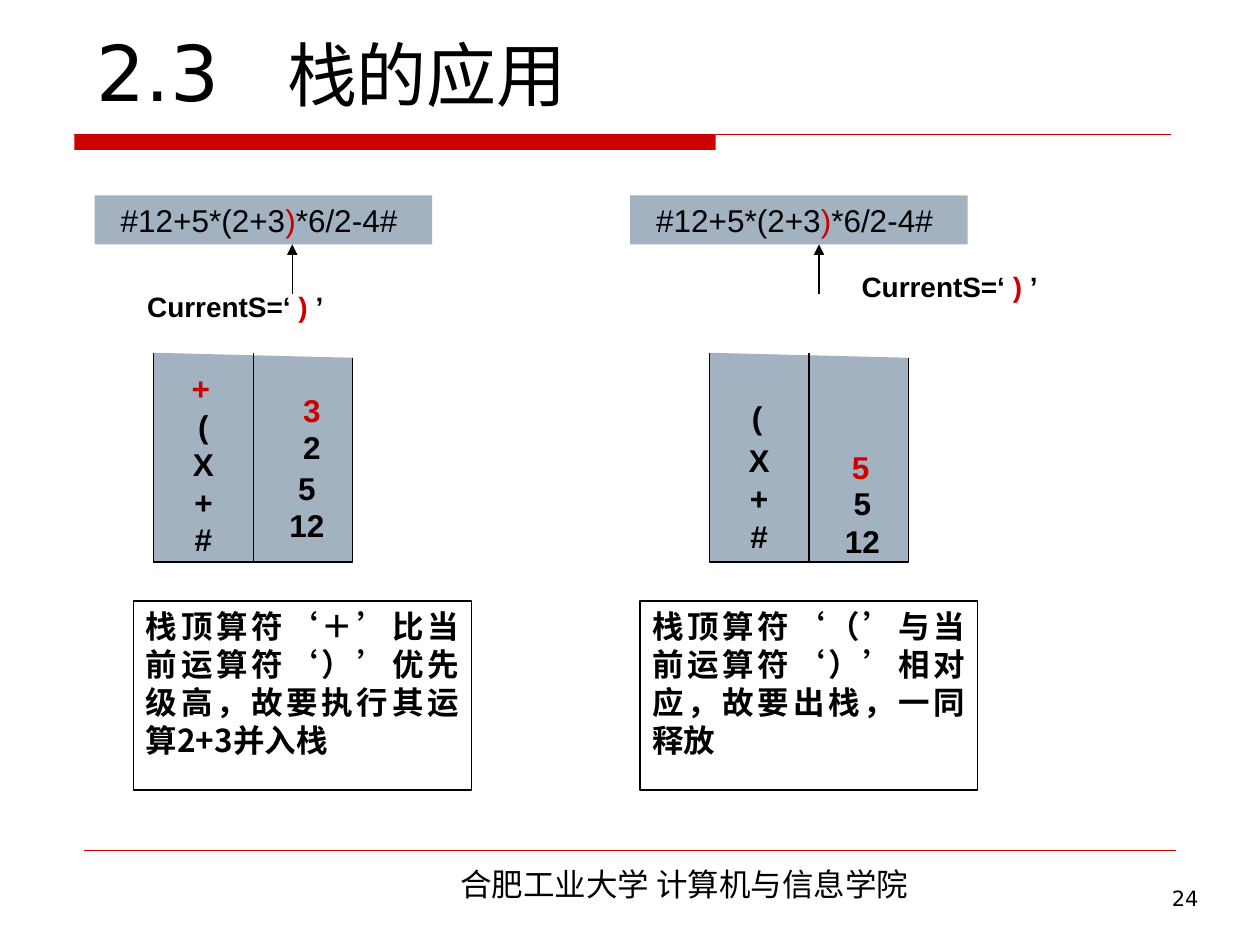
"""Build the slide on evaluating an expression with an operator stack and an operand stack."""
from itertools import groupby

from lxml.etree import SubElement
from pptx import Presentation
from pptx.dml.color import RGBColor
from pptx.enum.shapes import MSO_CONNECTOR, MSO_SHAPE
from pptx.enum.text import MSO_ANCHOR, PP_ALIGN
from pptx.oxml.ns import qn
from pptx.util import Inches, Pt

THEME = {
    "ink": "000000", "red": "CC0000", "panel": "A3B2C1", "paper": "FFFFFF",
    "latin": "Arial", "cjk": "Noto Sans CJK SC", "serif": "Cambria", "display": "DejaVu Sans",
    "title": 44, "title_cjk": 40, "body": 18, "label": 16, "number": 12,
}
COLUMNS, ROWS = 100, 75
STACK = {"top": 28, "width": 15.8, "height": 16.6, "slant": 0.4}
ALIGN = {"left": PP_ALIGN.LEFT, "center": PP_ALIGN.CENTER,
         "right": PP_ALIGN.RIGHT, "justify": PP_ALIGN.JUSTIFY}
ANCHOR = {"top": MSO_ANCHOR.TOP, "middle": MSO_ANCHOR.MIDDLE, "bottom": MSO_ANCHOR.BOTTOM}

EXPRESSION = [("#12+5*(2+3", "ink"), (")", "red"), ("*6/2-4# ", "ink")]
CURRENT = [("CurrentS=‘ ", "ink"), (") ", "red"), ("’", "ink")]
PANELS = [
    {
        "expression": 7.5, "arrow": 23.2, "current": (10.7, 22.5), "stack": 12.2, "note": 10.6,
        "entries": [
            ([("(", "ink"), ("X", "ink"), ("+", "ink"), ("#", "ink")], 3.95, 38.3),
            ([("5", "ink"), ("12", "ink")], 12.15, 40.2),
            ([("3", "red"), ("2", "ink")], 12.55, 34),
            ([("+", "red")], 3.75, 30.8),
        ],
        "text": "栈顶算符‘＋’比当前运算符‘）’优先级高，故要执行其运算2+3并入栈",
        "text_font": "cjk",
    },
    {
        "expression": 50, "arrow": 65, "current": (67.4, 20.9), "stack": 56.3, "note": 50.8,
        "entries": [
            ([("X", "ink"), ("+", "ink"), ("#", "ink")], 3.95, 39.5),
            ([("5", "ink"), ("12", "ink")], 12.15, 41.4),
            ([("5", "red")], 12, 37.1),
            ([("(", "ink")], 3.8, 33.1),
        ],
        "text": "栈顶算符‘（’与当前运算符‘）’相对应，故要出栈，一同释放",
        "text_font": "serif",
    },
]

deck = Presentation()
deck.slide_width, deck.slide_height = Inches(10), Inches(7.5)
slide = deck.slides.add_slide(deck.slide_layouts[6])


def grid(column, row):
    return round(deck.slide_width * column / COLUMNS), round(deck.slide_height * row / ROWS)


def colour(name):
    return RGBColor.from_string(THEME[name])


def paint(shape, fill, line=None):
    shape.shadow.inherit = False
    shape.fill.solid()
    shape.fill.fore_color.rgb = colour(fill)
    if line:
        shape.line.color.rgb = colour(line)
        shape.line.width = Pt(0.75)
    else:
        shape.line.fill.background()


def block(left, top, width, height, fill, line=None):
    shape = slide.shapes.add_shape(MSO_SHAPE.RECTANGLE, *grid(left, top), *grid(width, height))
    paint(shape, fill, line)
    return shape


def rule(start, end, ink="ink", weight=0.75, arrow=False):
    line = slide.shapes.add_connector(MSO_CONNECTOR.STRAIGHT, *grid(*start), *grid(*end))
    line.line.color.rgb = colour(ink)
    line.line.width = Pt(weight)
    if arrow:
        SubElement(line.line._get_or_add_ln(), qn("a:tailEnd"), type="triangle")
    SubElement(line._element.spPr, qn("a:effectLst"))


def write(paragraphs, area=None, shape=None, size="body", font="latin", bold=False,
          align="left", anchor="top", wrap=True, tab=None):
    """Write paragraphs of (text, colour[, font, size]) runs in a shape or a new box."""
    if shape is None:
        shape = slide.shapes.add_textbox(*grid(*area[:2]), *grid(*area[2:]))
    frame = shape.text_frame
    frame.word_wrap, frame.vertical_anchor = wrap, ANCHOR[anchor]
    for index, runs in enumerate(paragraphs):
        paragraph = frame.add_paragraph() if index else frame.paragraphs[0]
        paragraph.alignment = ALIGN[align]
        if tab:
            stops = SubElement(paragraph._p.get_or_add_pPr(), qn("a:tabLst"))
            SubElement(stops, qn("a:tab"), pos=str(grid(tab, 0)[0]), algn="l")
        for text, ink, *special in runs:
            face, points = special or (font, size)
            run = paragraph.add_run()
            run.text = text
            run.font.size, run.font.bold = Pt(THEME[points]), bold
            run.font.name, run.font.color.rgb = THEME[face], colour(ink)
            SubElement(run._r.get_or_add_rPr(), qn("a:ea"), typeface=THEME["cjk"])


def draw_stack(left, entries):
    top, width, height = STACK["top"], STACK["width"], STACK["height"]
    right, bottom = left + width, top + height
    outline = slide.shapes.build_freeform(*grid(left, top))
    outline.add_line_segments(
        [grid(left, bottom), grid(right, bottom), grid(right, top + STACK["slant"])], close=False)
    paint(outline.convert_to_shape(), "panel", "ink")
    middle = left + width / 2
    rule((middle, top), (middle, bottom))
    for symbols, offset, centre in entries:
        tall = 3 * len(symbols) + 1
        write([[symbol] for symbol in symbols], (left + offset - 2.5, centre - tall / 2, 5, tall),
              bold=True, align="center", anchor="middle", wrap=False)


def draw_panel(panel):
    write([EXPRESSION], shape=block(panel["expression"], 15.5, 26.8, 3.9, "panel"),
          align="center", anchor="middle", wrap=False)
    draw_stack(panel["stack"], panel["entries"])
    rule((panel["arrow"], 23.3), (panel["arrow"], 19.4), arrow=True)
    write([CURRENT], (*panel["current"], 16.6, 3.7), size="label", bold=True,
          anchor="middle", wrap=False)
    pieces = [("".join(part), "ink", "serif" if quote else panel["text_font"], "body")
              for quote, part in groupby(panel["text"], lambda mark: mark in "‘’")]
    write([pieces], shape=block(panel["note"], 47.7, 26.8, 15, "paper", "ink"),
          bold=True, align="justify")


block(5.9, 10.7, 50.9, 1.2, "red")
rule((5.9, 10.7), (92.9, 10.7), "red")
rule((6.7, 67.5), (93.3, 67.5), "red", 0.25)
write([[("2.3\t", "ink", "display", "title"), ("栈的应用", "ink", "display", "title_cjk")]],
      (6.7, 0, 87.5, 9.8), anchor="bottom", tab=15.1)
write([[("合肥工业大学 计算机与信息学院", "ink")]], (24, 68.2, 60.6, 4), font="cjk", align="center")
write([[("24", "ink")]], (74.4, 69.8, 21.7, 5.2), size="number", font="display", align="right")
for panel in PANELS:
    draw_panel(panel)

deck.save("out.pptx")
